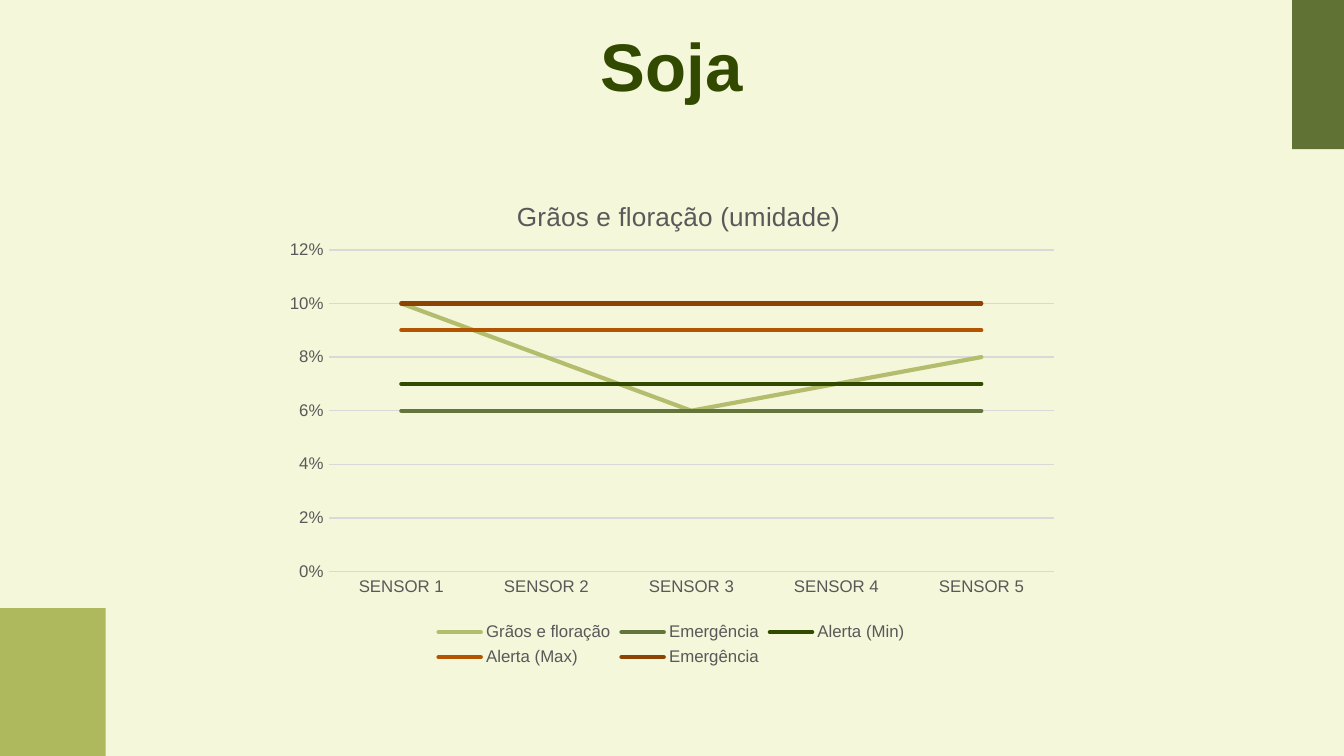
from lxml import etree
from pptx import Presentation
from pptx.chart.data import CategoryChartData
from pptx.dml.color import RGBColor
from pptx.enum import chart as ch, shapes, text
from pptx.oxml import ns
from pptx.util import Cm, Pt

FONT = "Arial"
HUES = {"page": "F4F7DA", "dark": "324A00", "lime": "7C8C03",
        "text": "595959", "grid": "D9D9D9"}
TITLE = "Soja"
HEAD = "Grãos e floração (umidade)"
CATS = [f"SENSOR {n}" for n in range(1, 6)]
LINES = [
    ("Grãos e floração", (0.10, 0.08, 0.06, 0.07, 0.08), "B4BD6E"),
    ("Emergência", (0.06,) * 5, "63753C"),
    ("Alerta (Min)", (0.07,) * 5, "324A00"),
    ("Alerta (Max)", (0.09,) * 5, "B45400"),
    ("Emergência", (0.10,) * 5, "8C4303"),
]
# left, top, width, height in cm; colour; opacity in percent
BARS = [
    ((24.42, 0, 0.98, 2.82), "dark", 76),
    ((0, 11.49, 2, 2.79), "lime", 58),
]


def rgb(code):
    return RGBColor.from_string(code)


def style(font, size, hue, bold=False):
    font.name, font.size, font.bold = FONT, Pt(size), bold
    font.color.rgb = rgb(HUES[hue])


def stroke(line, code, width):
    line.color.rgb = rgb(code)
    line.width = Pt(width)


def block(slide, box, hue, alpha):
    bar = slide.shapes.add_shape(shapes.MSO_SHAPE.RECTANGLE, *map(Cm, box))
    bar.shadow.inherit = False
    bar.line.fill.background()
    bar.fill.solid()
    bar.fill.fore_color.rgb = rgb(HUES[hue])
    tone = bar.fill._xPr.find(".//" + ns.qn("a:srgbClr"))
    etree.SubElement(tone, ns.qn("a:alpha"), val=str(alpha * 1000))


def place(item, **spots):
    """Fix a chart part at fractions of the chart area."""
    lay = item.find(ns.qn("c:layout"))
    if lay is None:
        lay = etree.Element(ns.qn("c:layout"))
        tx = item.find(ns.qn("c:tx"))
        if tx is None:
            item.insert(0, lay)
        else:
            tx.addnext(lay)
    for old in list(lay):
        lay.remove(old)
    man = etree.SubElement(lay, ns.qn("c:manualLayout"))
    if "w" in spots:
        etree.SubElement(man, ns.qn("c:layoutTarget"), val="inner")
    for key in "xy":
        etree.SubElement(man, ns.qn(f"c:{key}Mode"), val="edge")
    for key, val in spots.items():
        etree.SubElement(man, ns.qn(f"c:{key}"), val=str(val))


def graph(slide):
    data = CategoryChartData(number_format="0%")
    data.categories = CATS
    for name, vals, _ in LINES:
        data.add_series(name, vals)
    box = map(Cm, (5.16, 3.2, 15.06, 9.5))
    chart = slide.shapes.add_chart(ch.XL_CHART_TYPE.LINE, *box, data).chart
    chart.font.name, chart.font.size = FONT, Pt(10)

    chart.has_title = True
    frame = chart.chart_title.text_frame
    frame.text = HEAD
    style(frame.paragraphs[0].runs[0].font, 14, "text")
    chart.chart_title.include_in_layout = False
    place(chart.chart_title._element, x=0.3, y=0.05)
    place(chart._chartSpace.chart.plotArea, x=0.07, y=0.16, w=0.91, h=0.64)

    chart.has_legend = True
    key = chart.legend
    key.position = ch.XL_LEGEND_POSITION.BOTTOM
    key.include_in_layout = False
    style(key.font, 9, "text")

    cat, val = chart.category_axis, chart.value_axis
    for axis in (cat, val):
        axis.major_tick_mark = axis.minor_tick_mark = ch.XL_TICK_MARK.NONE
        style(axis.tick_labels.font, 9, "text")
    stroke(cat.format.line, HUES["grid"], 0.75)
    val.format.line.fill.background()
    val.has_major_gridlines = True
    stroke(val.major_gridlines.format.line, HUES["grid"], 0.75)
    val.minimum_scale, val.maximum_scale, val.major_unit = 0, 0.12, 0.02
    val.tick_labels.number_format = "0%"
    val.tick_labels.number_format_is_linked = False

    plot = chart.plots[0]
    plot.vary_by_categories = False
    for row, (_, _, code) in zip(plot.series, LINES):
        row.smooth = False
        row.marker.style = ch.XL_MARKER_STYLE.NONE
        stroke(row.format.line, code, 2.25)
        row.format.line._ln.set("cap", "rnd")


def main():
    deck = Presentation()
    deck.slide_width, deck.slide_height = Cm(25.4), Cm(14.28)
    slide = deck.slides.add_slide(deck.slide_layouts[6])
    slide.background.fill.solid()
    slide.background.fill.fore_color.rgb = rgb(HUES["page"])
    for bar in BARS:
        block(slide, *bar)

    frame = slide.shapes.add_textbox(*map(Cm, (2, 0.08, 21.4, 1.6))).text_frame
    frame.word_wrap = True
    frame.vertical_anchor = text.MSO_ANCHOR.TOP
    frame.margin_top = Cm(0.38)
    frame.text = TITLE
    line = frame.paragraphs[0]
    line.alignment = text.PP_ALIGN.CENTER
    style(line.runs[0].font, 36, "dark", True)

    graph(slide)
    deck.save("out.pptx")


if __name__ == "__main__":
    main()
